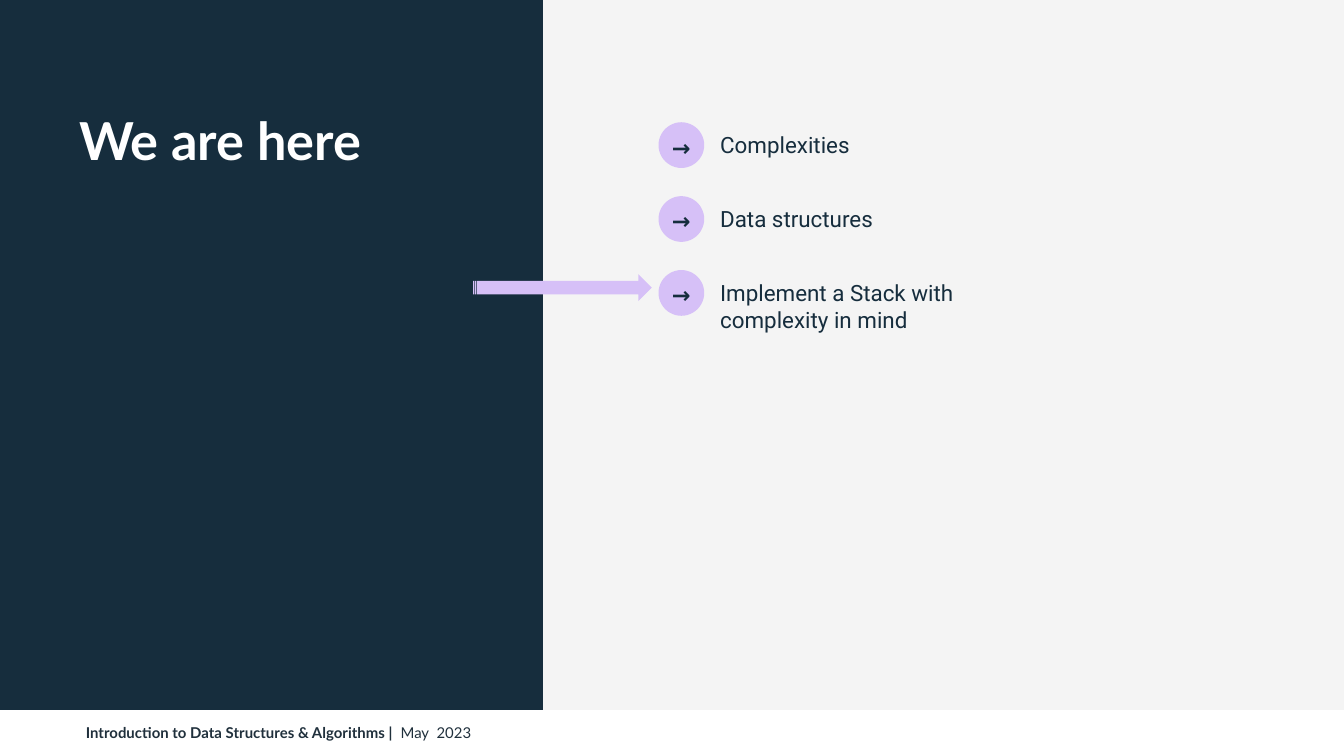
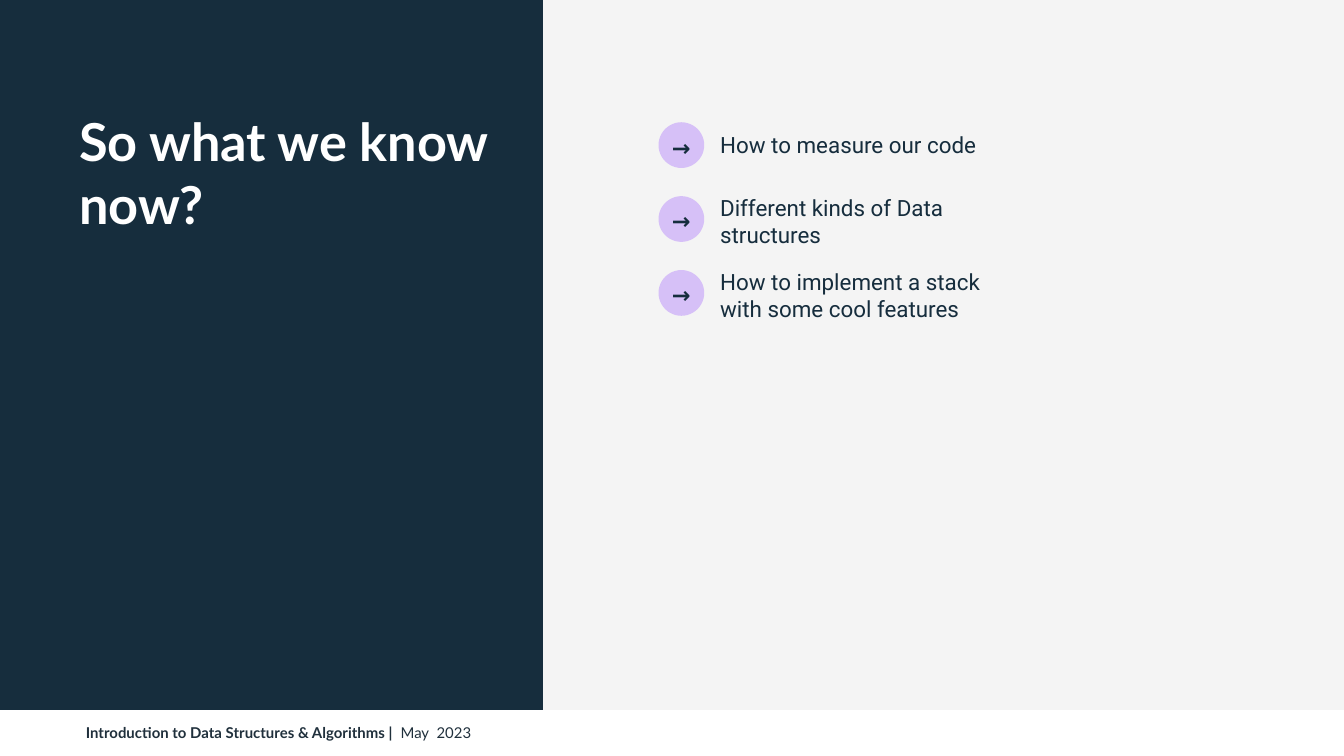
"""Builds two agenda slides with a dark title panel and arrow bullets."""
from dataclasses import dataclass

from pptx import Presentation
from pptx.dml.color import RGBColor
from pptx.enum.shapes import MSO_SHAPE
from pptx.enum.text import MSO_ANCHOR, MSO_AUTO_SIZE, PP_ALIGN
from pptx.util import Inches, Pt

SLIDES = [
    {
        "title": "We are here",
        "title_h": 0.67,
        "items": [
            ("Complexities", 0, 0.4),
            ("Data structures", 0, 0.4),
            ("Implement a Stack with complexity in mind", 0, 0.61),
        ],
        "current": 2,
    },
    {
        "title": "So what we know now?",
        "title_h": 1.15,
        "items": [
            ("How to measure our code", 0, 0.4),
            ("Different kinds of Data structures", 0.08, 0.61),
            ("How to implement a stack with some cool features", 0.08, 0.82),
        ],
        "current": None,
    },
]
FOOTER = [("Introduction to Data Structures & Algorithms |  ", True), ("May  2023", False)]


@dataclass(frozen=True)
class Theme:
    navy: str = "162D3D"
    lilac: str = "D6C0F7"
    paper: str = "F4F4F4"
    white: str = "FFFFFF"
    footer_ink: str = "20303C"
    heading: str = "Lato"
    body: str = "Roboto"
    title_size: int = 28
    item_size: int = 12
    footer_size: int = 8
    tight: float = 1.02
    loose: float = 1.15


T = Theme()
W = 10
H = W * 9 / 16
PANEL_W, BAND_H = 4.04, 0.34
BAND_TOP = H - BAND_H
LIST_TOP, ROW_H = 0.87, 0.55
DOT_X, DOT, DOT_DROP = 4.9, 0.34, 0.04
ITEM_X, ITEM_W = 5.26, 2.21
POINTER_X, POINTER_W, POINTER_H, POINTER_DROP = 3.52, 1.33, 0.2, 0.07


def add_block(s, kind, box, color):
    sp = s.shapes.add_shape(kind, *map(Inches, box))
    sp.shadow.inherit = False
    sp.fill.solid()
    sp.fill.fore_color.rgb = RGBColor.from_string(color)
    sp.line.fill.background()
    return sp


def write(sp, runs, font, size, color, spacing, inset=0.1, align=PP_ALIGN.LEFT):
    tf = sp.text_frame
    tf.word_wrap = True
    tf.margin_left = tf.margin_right = tf.margin_top = tf.margin_bottom = Inches(inset)
    p = tf.paragraphs[0]
    p.alignment = align
    p.line_spacing = spacing
    for text, bold in runs:
        r = p.add_run()
        r.text = text
        r.font.name = font
        r.font.size = Pt(size)
        r.font.bold = bold
        r.font.color.rgb = RGBColor.from_string(color)
    return tf


def add_text(s, box, runs, font, size, color, spacing=T.tight):
    sp = s.shapes.add_textbox(*map(Inches, box))
    tf = write(sp, runs, font, size, color, spacing)
    tf.auto_size = MSO_AUTO_SIZE.SHAPE_TO_FIT_TEXT


def add_frame(s, title, title_h):
    s.background.fill.solid()
    s.background.fill.fore_color.rgb = RGBColor.from_string(T.paper)
    add_block(s, MSO_SHAPE.RECTANGLE, (0, 0, PANEL_W, H), T.navy)
    add_block(s, MSO_SHAPE.RECTANGLE, (0, BAND_TOP, W, BAND_H), T.white)
    add_text(s, (0.49, 0.7, 3.26, title_h), [(title, True)], T.heading, T.title_size, T.white)
    add_text(s, (0.54, BAND_TOP, 4.36, BAND_H), FOOTER, T.heading, T.footer_size,
             T.footer_ink, T.loose)


def add_item(s, row, text, lift, height):
    top = LIST_TOP + row * ROW_H
    dot = add_block(s, MSO_SHAPE.OVAL, (DOT_X, top + DOT_DROP, DOT, DOT), T.lilac)
    tf = write(dot, [("→", True)], T.body, T.item_size, T.navy, T.loose, 0.05, PP_ALIGN.CENTER)
    tf.vertical_anchor = MSO_ANCHOR.MIDDLE
    add_text(s, (ITEM_X, top - lift, ITEM_W, height), [(text, False)], T.body,
             T.item_size, T.navy)


def add_pointer(s, row):
    top = LIST_TOP + row * ROW_H + POINTER_DROP
    add_block(s, MSO_SHAPE.STRIPED_RIGHT_ARROW, (POINTER_X, top, POINTER_W, POINTER_H), T.lilac)


def main():
    prs = Presentation()
    prs.slide_width, prs.slide_height = Inches(W), Inches(H)
    for content in SLIDES:
        s = prs.slides.add_slide(prs.slide_layouts[6])
        add_frame(s, content["title"], content["title_h"])
        for row, item in enumerate(content["items"]):
            add_item(s, row, *item)
        if content["current"] is not None:
            add_pointer(s, content["current"])
    prs.save("out.pptx")


if __name__ == "__main__":
    main()
